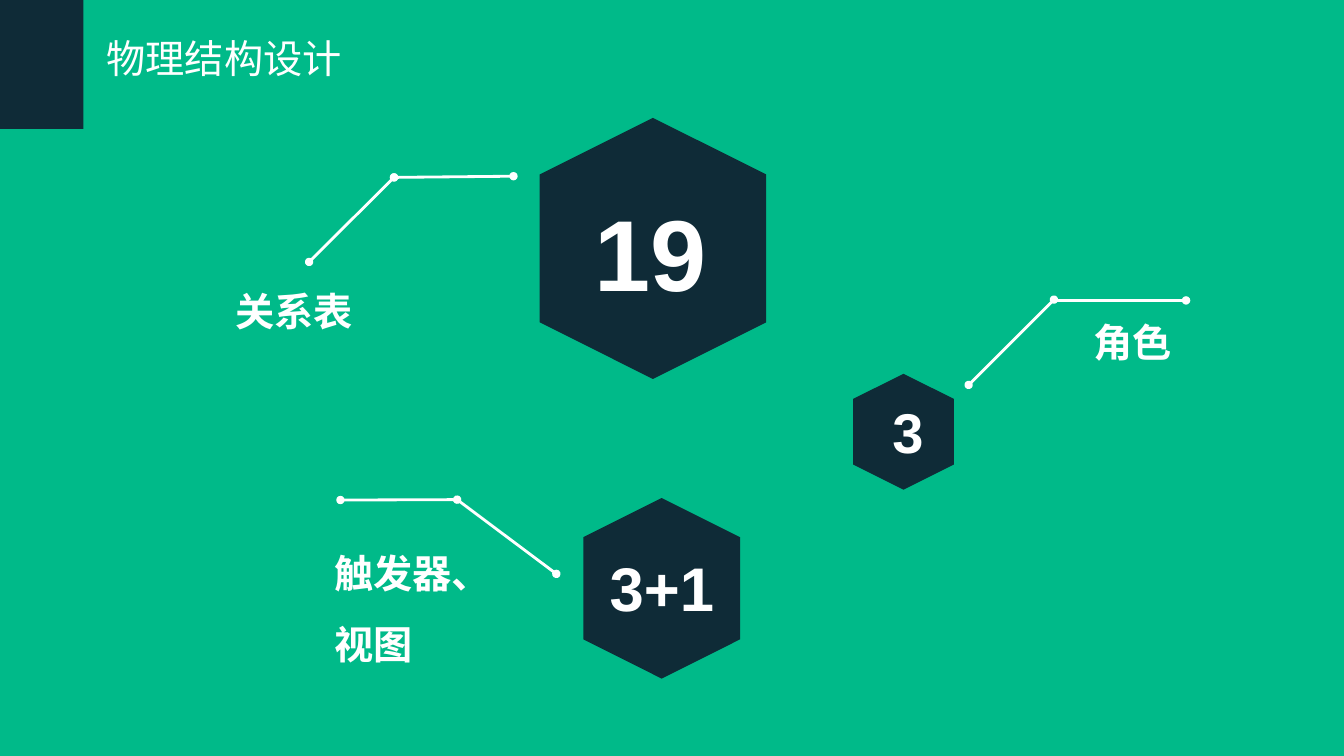
from lxml import etree
from pptx import Presentation
from pptx import util as u
from pptx.dml.color import RGBColor
from pptx.enum import shapes, text
from pptx.oxml.ns import qn

GREEN = RGBColor(0x00, 0xBA, 0x89)
NAVY = RGBColor(0x0F, 0x2B, 0x37)
WHITE = RGBColor(0xFF, 0xFF, 0xFF)
LATIN = "Arial"
CHINESE = "Noto Sans CJK SC"
LEFT = text.PP_ALIGN.LEFT
RIGHT = text.PP_ALIGN.RIGHT

deck = Presentation()
deck.slide_width = u.Cm(33.87)
deck.slide_height = u.Cm(19.05)
page = deck.slides.add_slide(deck.slide_layouts[6])
page.background.fill.solid()
page.background.fill.fore_color.rgb = GREEN


def paint_navy(shape):
    shape.shadow.inherit = False
    shape.fill.solid()
    shape.fill.fore_color.rgb = NAVY
    shape.line.fill.background()


def add_text(left, top, width, height, lines, size, font=LATIN, bold=True,
             align=LEFT, wrap=True, spacing=None):
    box = page.shapes.add_textbox(u.Cm(left), u.Cm(top), u.Cm(width), u.Cm(height))
    frame = box.text_frame
    frame.word_wrap = wrap
    frame.auto_size = text.MSO_AUTO_SIZE.SHAPE_TO_FIT_TEXT
    for index, line in enumerate(lines):
        para = frame.add_paragraph() if index else frame.paragraphs[0]
        para.alignment = align
        if spacing:
            para.line_spacing = spacing
        span = para.add_run()
        span.text = line
        span.font.size = u.Pt(size)
        span.font.bold = bold
        span.font.color.rgb = WHITE
        span.font.name = font
        east_asian = etree.SubElement(span.font._element, qn("a:ea"))
        east_asian.set("typeface", CHINESE)


hexagons = [
    (13.6, 2.97, 5.71, 6.58),
    (21.5, 9.42, 2.54, 2.92),
    (14.7, 12.55, 3.95, 4.55),
]
for left, top, width, height in hexagons:
    right, middle = left + width, left + width / 2
    upper, lower = top + 0.217 * height, top + 0.783 * height
    corners = [(right, upper), (right, lower), (middle, top + height),
               (left, lower), (left, upper)]
    outline = page.shapes.build_freeform(u.Cm(middle), u.Cm(top))
    outline.add_line_segments([(u.Cm(x), u.Cm(y)) for x, y in corners])
    paint_navy(outline.convert_to_shape())

corner = page.shapes.add_shape(shapes.MSO_SHAPE.RECTANGLE, 0, 0, u.Cm(2.1), u.Cm(3.25))
paint_navy(corner)

BOTH_ENDS = ("headEnd", "tailEnd")
FAR_END = ("tailEnd",)
leaders = [
    (9.93, 4.47, 12.94, 4.44, BOTH_ENDS),
    (9.93, 4.47, 7.79, 6.6, BOTH_ENDS),
    (26.56, 7.55, 24.41, 9.7, BOTH_ENDS),
    (26.56, 7.57, 29.89, 7.57, FAR_END),
    (11.52, 12.59, 14.02, 14.46, BOTH_ENDS),
    (11.43, 12.59, 8.58, 12.6, FAR_END),
]
for x1, y1, x2, y2, dotted_ends in leaders:
    leader = page.shapes.add_connector(
        shapes.MSO_CONNECTOR.STRAIGHT, u.Cm(x1), u.Cm(y1), u.Cm(x2), u.Cm(y2))
    leader.line.color.rgb = WHITE
    leader.line.width = u.Pt(2)
    for end in dotted_ends:
        etree.SubElement(leader.line._get_or_add_ln(), qn("a:" + end)).set("type", "oval")
    etree.SubElement(leader._element.spPr, qn("a:effectLst"))

add_text(2.44, 0.74, 9.07, 1.45, ["物理结构设计"], 28, bold=False)
add_text(14.7, 4.67, 3.35, 3.33, ["19"], 72, align=RIGHT)
add_text(22.02, 9.9, 1.5, 1.96, ["3"], 40, align=RIGHT)
add_text(14.9, 13.74, 3.35, 2.13, ["3+1"], 44, align=RIGHT)
add_text(5.64, 7.11, 3.5, 1.45, ["关系表"], 28, CHINESE, align=RIGHT, wrap=False)
add_text(27.3, 7.9, 2.51, 1.45, ["角色"], 28, wrap=False)
add_text(8.18, 13.13, 5.51, 3.63, ["触发器、", "视图"], 28, CHINESE, spacing=1.5)

deck.save("out.pptx")
